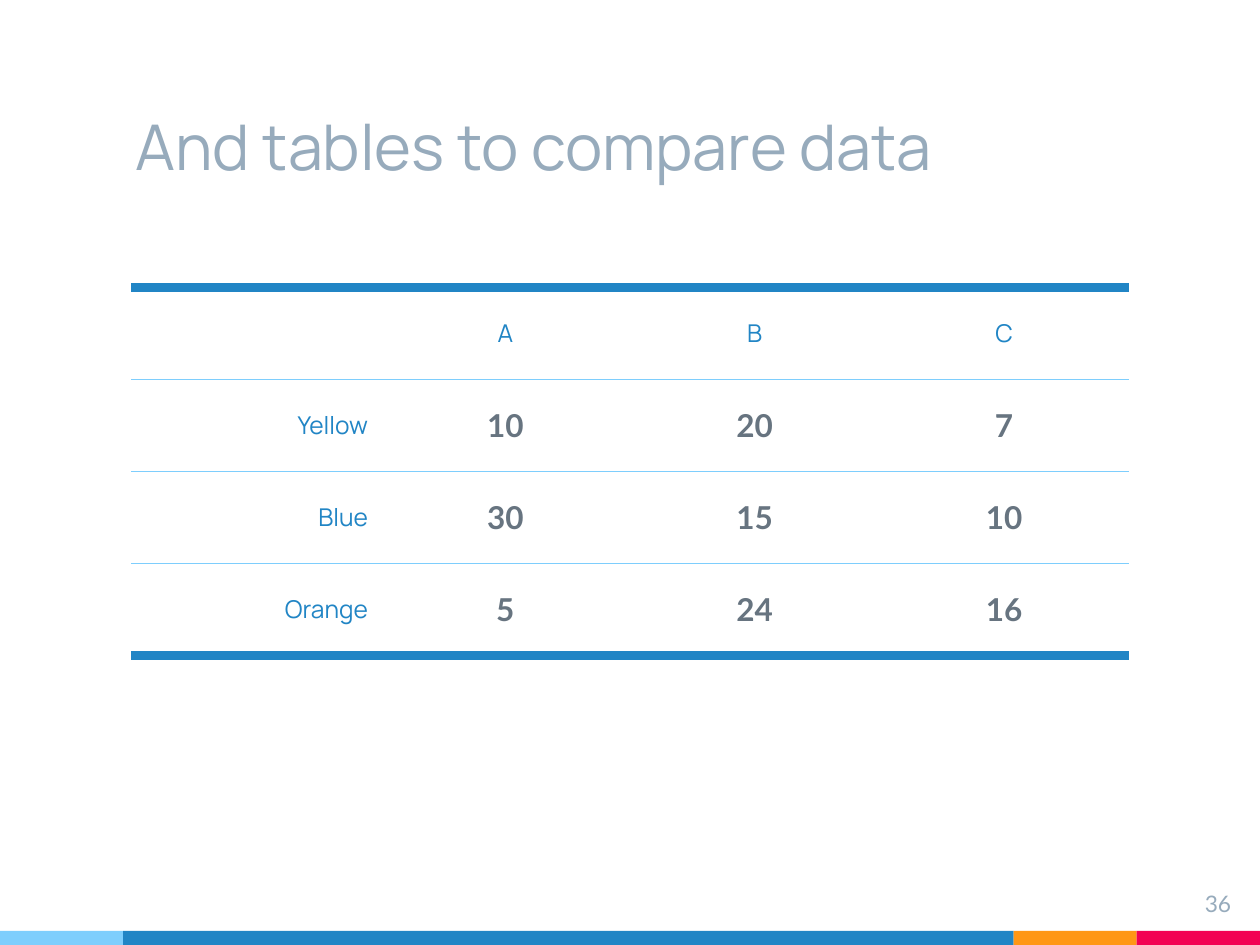
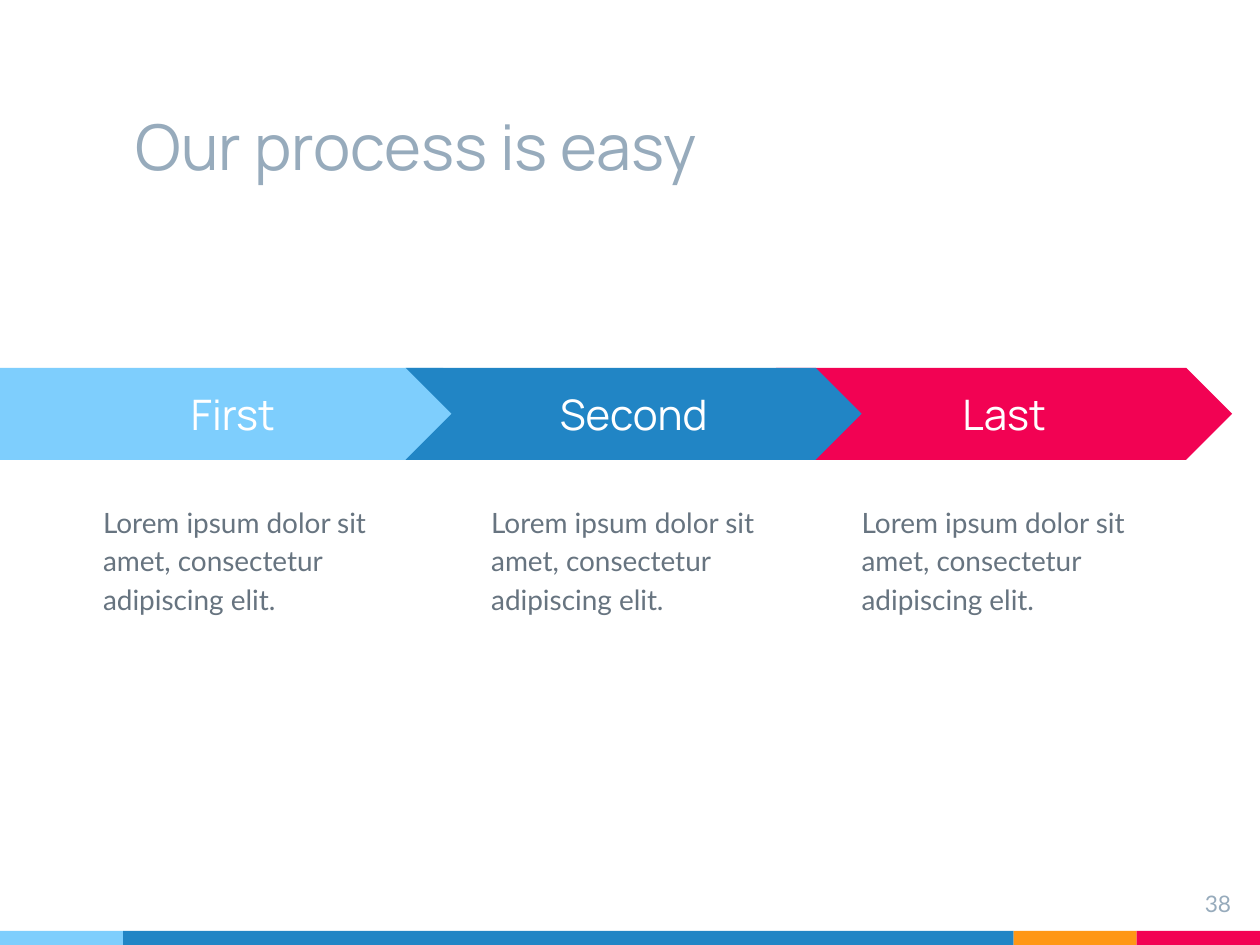
"""Build a data table slide and a three-step process slide."""
from dataclasses import dataclass
from pptx import Presentation
from pptx.dml.color import RGBColor as RGB
from pptx.enum.shapes import MSO_SHAPE as Shape
from pptx.enum.text import MSO_ANCHOR as Anchor, MSO_AUTO_SIZE as Fit, PP_ALIGN as Align
from pptx.oxml import parse_xml
from pptx.oxml.ns import nsdecls
from pptx.util import Pt


@dataclass(frozen=True)
class Theme:
    sky: str = "7ECEFD"
    blue: str = "2185C5"
    orange: str = "FF9715"
    red: str = "F20253"
    mist: str = "97ABBC"
    slate: str = "677480"
    white: str = "FFFFFF"
    head: str = "Manrope"
    body: str = "Lato"
    title: int = 36
    step: int = 24
    value: int = 18
    text: int = 16
    label: int = 14
    page: int = 13
    pad: float = 7.2


look = Theme()


def write(host, text, face, size, color, align=Align.LEFT, anchor=Anchor.TOP, bold=False):
    """Fill a text frame or table cell with one styled paragraph."""
    for side in ("left", "right", "top", "bottom"):
        setattr(host, f"margin_{side}", Pt(look.pad))
    host.vertical_anchor = anchor
    frame = getattr(host, "text_frame", host)
    frame.word_wrap = True
    frame.text = text
    para = frame.paragraphs[0]
    para.alignment = align
    font = para.font
    font.name, font.size, font.bold = face, Pt(size), bold
    font.color.rgb = RGB.from_string(color)
    return para


def block(slide, kind, left, top, width, height, color):
    """Add a flat shape without outline or shadow."""
    shape = slide.shapes.add_shape(kind, Pt(left), Pt(top), Pt(width), Pt(height))
    shape.shadow.inherit = False
    shape.fill.solid()
    shape.fill.fore_color.rgb = RGB.from_string(color)
    shape.line.fill.background()
    return shape


deck = Presentation()
deck.slide_width, deck.slide_height = Pt(720), Pt(540)
layout = deck.slide_layouts[5]
slides = []
for title, page in (("And tables to compare data", "36"), ("Our process is easy", "38")):
    slide = deck.slides.add_slide(layout)
    slides.append(slide)
    box = slide.shapes.title
    box.left, box.top, box.width, box.height = Pt(70.4), Pt(21.6), Pt(509), Pt(90)
    write(box.text_frame, title, look.head, look.title, look.mist, anchor=Anchor.BOTTOM)
    box.text_frame.auto_size = Fit.NONE
    box = slide.shapes.add_textbox(Pt(667.4), Pt(501), Pt(43.2), Pt(33))
    write(box.text_frame, page, look.body, look.page, look.mist, Align.RIGHT)

left = 0
bands = ((look.sky, 70.4), (look.blue, 508.8), (look.orange, 70.4), (look.red, 70.4))
for index, (color, width) in enumerate(bands):
    band = block(slides[0], Shape.RECTANGLE, left, 532, width, 8, color)
    band.element.nvSpPr.cNvPr.set("id", str(20 + index))
    layout.shapes.element.append(band.element)
    left += width

rows = (
    ("", "A", "B", "C"),
    ("Yellow", "10", "20", "7"),
    ("Blue", "30", "15", "10"),
    ("Orange", "5", "24", "16"),
)
last = len(rows) - 1
table = slides[0].shapes.add_table(4, 4, Pt(75), Pt(164.2), Pt(570), Pt(210.4)).table
table.first_row = table.horz_banding = False
for col in table.columns:
    col.width = Pt(142.5)
for r, row in enumerate(rows):
    table.rows[r].height = Pt(52.6)
    for c, text in enumerate(row):
        cell = table.cell(r, c)
        align = Align.CENTER if c else Align.RIGHT
        if r and c:
            write(cell, text, look.body, look.value, look.slate, align, Anchor.MIDDLE, True)
        else:
            write(cell, text, look.head, look.label, look.blue, align, Anchor.MIDDLE)
        props = cell._tc.get_or_add_tcPr()
        for side, edge in (("L", None), ("R", None), ("T", r == 0), ("B", r == last)):
            color, width = (look.blue, 6) if edge else (look.sky, 0.75)
            fill = f'<a:solidFill><a:srgbClr val="{color}"/></a:solidFill>'
            if edge is None:
                fill = "<a:noFill/>"
            props.append(parse_xml(
                f'<a:ln{side} {nsdecls("a")} w="{Pt(width)}">{fill}</a:ln{side}>'))
        cell.fill.background()

steps = (
    ("Last", Shape.CHEVRON, 443.5, 260.6, look.red, 485.3),
    ("First", Shape.PENTAGON, 0, 279.4, look.sky, 51.8),
    ("Second", Shape.CHEVRON, 231.8, 260.6, look.blue, 273.6),
)
for name, kind, left, width, color, inset in steps:
    arrow = block(slides[1], kind, left, 210.2, width, 52.6, color)
    arrow.adjustments[0] = 0.5
    write(arrow.text_frame, name, look.head, look.step, look.white, Align.CENTER, Anchor.MIDDLE)
    note = slides[1].shapes.add_textbox(Pt(inset), Pt(278.6), Pt(176.4), Pt(206))
    para = write(note.text_frame, "Lorem ipsum dolor sit amet, consectetur adipiscing elit.",
                 look.body, look.text, look.slate)
    para.line_spacing = 1.15

deck.save("out.pptx")
